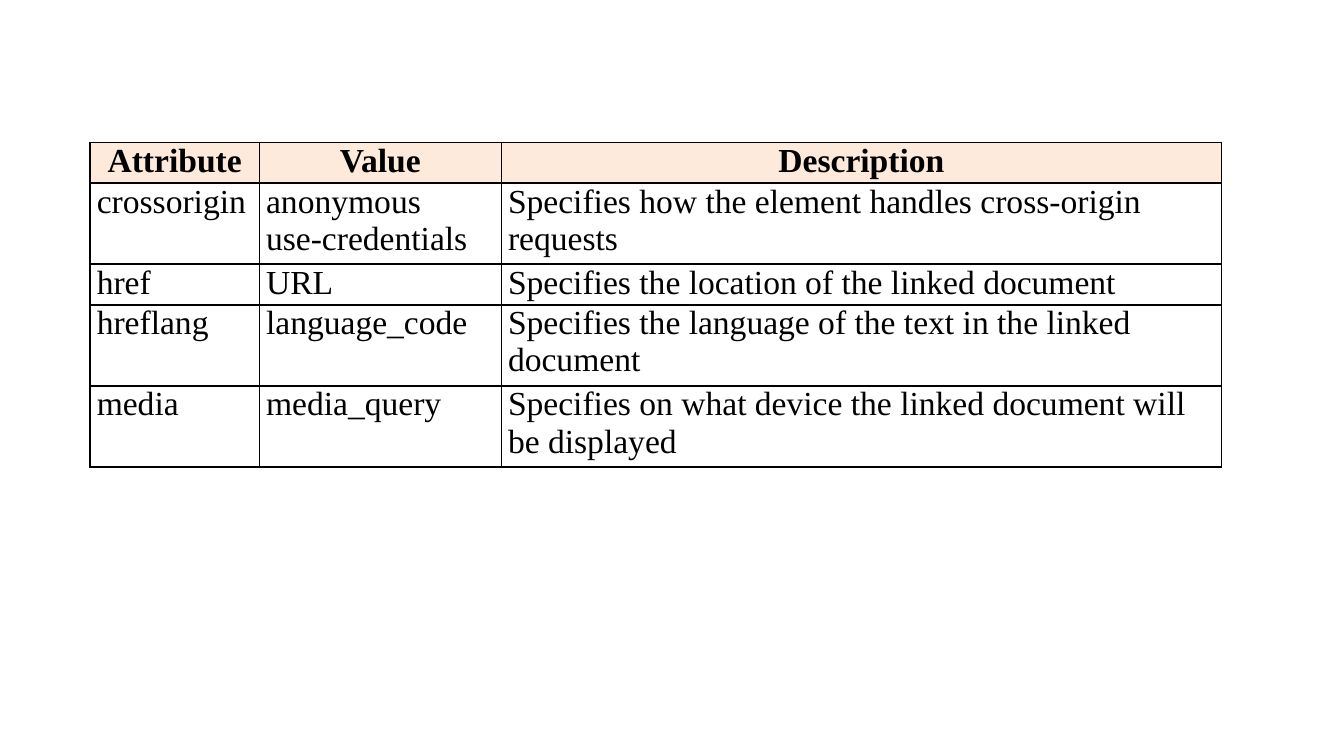
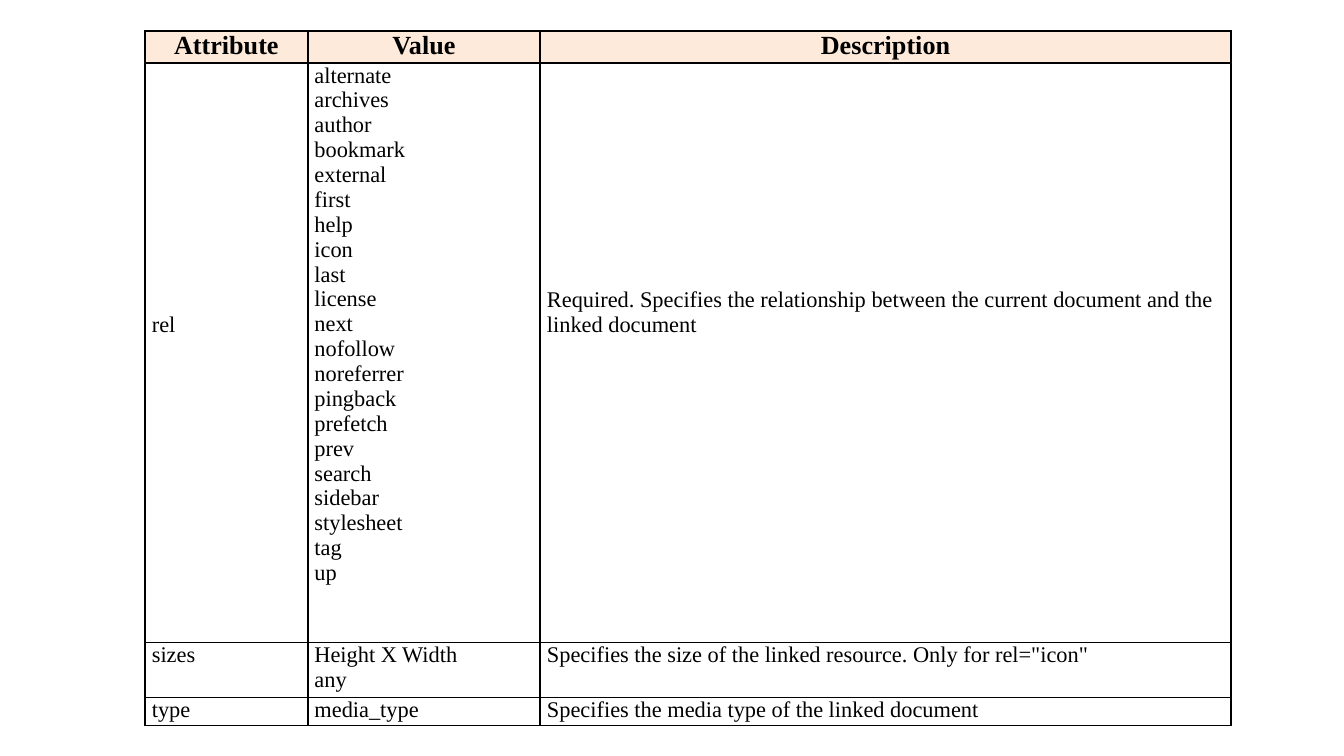
from lxml import etree
from pptx import Presentation
from pptx import util as u
from pptx.dml.color import RGBColor
from pptx.enum import text
from pptx.oxml import ns

HUES = {"ink": "000000", "head": "FDEADA"}
FONT = "Times New Roman"
TITLES = ("Attribute", "Value", "Description")


class Deck:
    def __init__(self, wide, high):
        self.prs = Presentation()
        self.prs.slide_width = u.Pt(wide)
        self.prs.slide_height = u.Pt(high)
        self.slide = None

    def page(self):
        self.slide = self.prs.slides.add_slide(self.prs.slide_layouts[6])

    def edge(self, cell):
        """Thin black line on all four sides."""
        props = cell._tc.get_or_add_tcPr()
        for side in ("lnL", "lnR", "lnT", "lnB"):
            line = etree.SubElement(props, ns.qn("a:" + side), w=str(u.Pt(1)))
            fill = etree.SubElement(line, ns.qn("a:solidFill"))
            etree.SubElement(fill, ns.qn("a:srgbClr"), val=HUES["ink"])

    def cell(self, cell, words, size, head, drop):
        self.edge(cell)
        cell.margin_left = cell.margin_right = u.Pt(3.6)
        cell.margin_top, cell.margin_bottom = u.Pt(drop), 0
        if head:
            cell.fill.solid()
            cell.fill.fore_color.rgb = RGBColor.from_string(HUES["head"])
        else:
            cell.fill.background()
        para = cell.text_frame.paragraphs[0]
        para.alignment = text.PP_ALIGN.CENTER if head else text.PP_ALIGN.LEFT
        for i, part in enumerate(words.split("\n")):
            if i:
                para.add_line_break()
            run = para.add_run()
            run.text = part
            font = run.font
            font.name, font.size, font.bold = FONT, u.Pt(size), head
            font.color.rgb = RGBColor.from_string(HUES["ink"])

    def table(self, left, top, cols, highs, rows, sizes, drops=None):
        """Sizes are (head, body); drops maps (row, column) to a top inset."""
        rows = [TITLES, *rows]
        frame = self.slide.shapes.add_table(
            len(rows), len(cols), u.Pt(left), u.Pt(top),
            u.Pt(sum(cols)), u.Pt(sum(highs)))
        grid = frame.table
        grid.horz_banding = False
        for col, wide in zip(grid.columns, cols):
            col.width = u.Pt(wide)
        for r, (row, high) in enumerate(zip(rows, highs)):
            grid.rows[r].height = u.Pt(high)
            for c, words in enumerate(row):
                self.cell(grid.cell(r, c), words, sizes[r > 0], r == 0,
                          (drops or {}).get((r, c), 0))


deck = Deck(720, 405)

# Link attributes, first part
LINE = 21.75
deck.page()
deck.table(
    48.24, 76.32, (90.72, 129.6, 385.92),
    [n * LINE for n in (1, 2, 1, 2, 2)],
    [("crossorigin", "anonymous\nuse-credentials",
      "Specifies how the element handles cross-origin requests"),
     ("href", "URL", "Specifies the location of the linked document"),
     ("hreflang", "language_code",
      "Specifies the language of the text in the linked document"),
     ("media", "media_query",
      "Specifies on what device the linked document will be displayed")],
    (18, 18))

# Link attributes, second part: "rel" sits level with the middle of its list
RELS = ("alternate archives author bookmark external first help icon last "
        "license next nofollow noreferrer pingback prefetch prev search "
        "sidebar stylesheet tag up").split()
STEP = 13.34
deck.page()
deck.table(
    77.76, 16.56, (87.12, 124.56, 370.08), (17.3, 310.3, 29.5, 15.1),
    [("rel", "\n".join(RELS),
      "Required. Specifies the relationship between the current document "
      "and the linked document"),
     ("sizes", "Height X Width\nany",
      'Specifies the size of the linked resource. Only for rel="icon"'),
     ("type", "media_type",
      "Specifies the media type of the linked document")],
    (14, 12), {(1, 0): 10 * STEP, (1, 2): 9 * STEP})

deck.prs.save("out.pptx")
